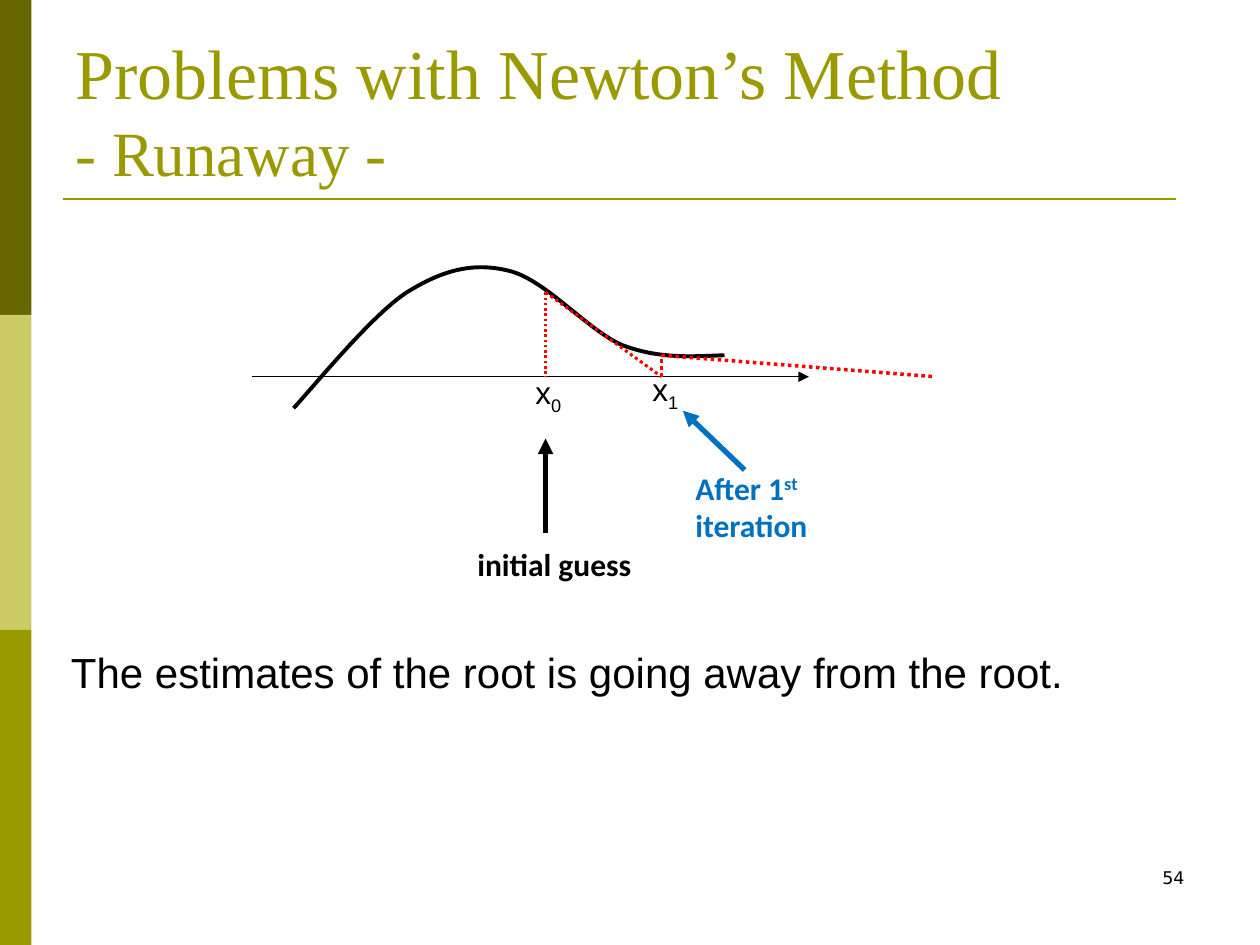
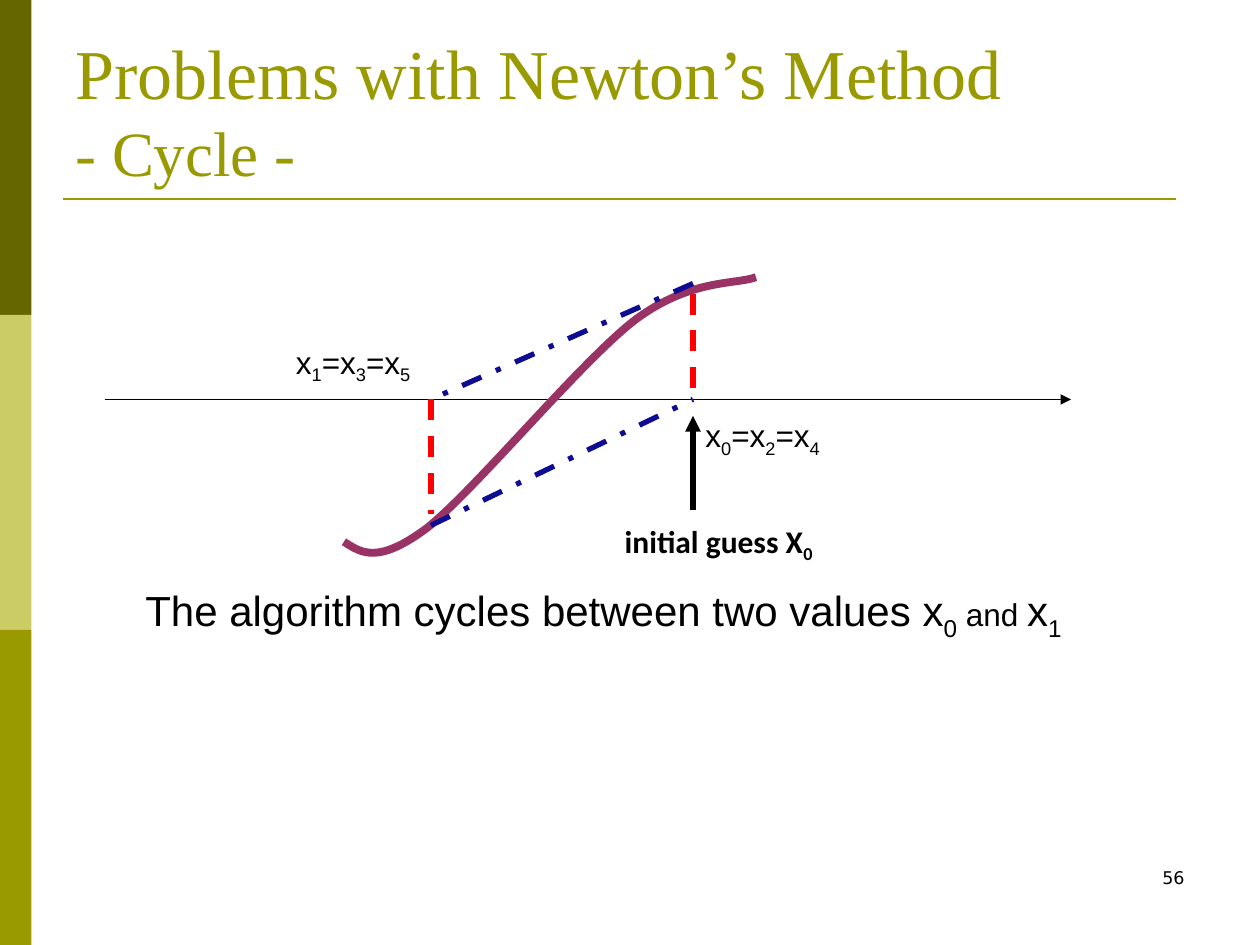
from lxml.etree import SubElement
from pptx import Presentation
from pptx.dml.color import RGBColor
from pptx.enum.dml import MSO_LINE
from pptx.enum.shapes import MSO_CONNECTOR, MSO_SHAPE
from pptx.enum.text import MSO_ANCHOR, MSO_AUTO_SIZE, PP_ALIGN
from pptx.oxml.ns import qn
from pptx.util import Pt

PX = 9144  # 100 px to the inch

DARK_OLIVE = RGBColor(0x66, 0x66, 0x00)
PALE_OLIVE = RGBColor(0xCC, 0xCC, 0x66)
OLIVE = RGBColor(0x99, 0x99, 0x00)
BLACK = RGBColor(0x00, 0x00, 0x00)
RED = RGBColor(0xFF, 0x00, 0x00)
BLUE = RGBColor(0x00, 0x70, 0xC0)
NAVY = RGBColor(0x0E, 0x0C, 0x93)
PLUM = RGBColor(0x99, 0x33, 0x66)

TITLE_FONT = "Times New Roman"
BODY_FONT = "Arial"
NOTE_FONT = "Calibri"
NUMBER_FONT = "DejaVu Sans"
SUB, SUPER = -25000, 30000


class Deck:
    def __init__(self):
        self.prs = Presentation()
        self.prs.slide_width = 1000 * PX
        self.prs.slide_height = 750 * PX
        self.s = None

    def slide(self, subtitle, number):
        """Start a slide with the side bands, title, rule and page number."""
        self.s = self.prs.slides.add_slide(self.prs.slide_layouts[6])
        for i, color in enumerate((DARK_OLIVE, PALE_OLIVE, OLIVE)):
            self.band(0, i * 250, 25, 250, color)
        self.line((50, 158), (933, 158), OLIVE, 1.5)
        self.text((717, 683, 233, 50), [number], NUMBER_FONT, 10, align=PP_ALIGN.RIGHT)
        self.title("Problems with Newton’s Method", subtitle)

    def band(self, x, y, w, h, color):
        sp = self.s.shapes.add_shape(MSO_SHAPE.RECTANGLE, x * PX, y * PX, w * PX, h * PX)
        sp.shadow.inherit = False
        sp.fill.solid()
        sp.fill.fore_color.rgb = color
        sp.line.fill.background()

    def box(self, x, y, w, h):
        tf = self.s.shapes.add_textbox(x * PX, y * PX, w * PX, h * PX).text_frame
        tf.word_wrap = True
        return tf

    def run(self, p, text, font, size, color, bold=False):
        r = p.add_run()
        r.text = text
        r.font.name = font
        r.font.size = Pt(size)
        r.font.bold = bold
        r.font.color.rgb = color
        return r

    def title(self, heading, subtitle):
        tf = self.box(50, 30, 900, 125)
        tf.vertical_anchor = MSO_ANCHOR.BOTTOM
        p = tf.paragraphs[0]
        self.run(p, heading, TITLE_FONT, 40, OLIVE)
        p.add_line_break()
        self.run(p, subtitle, TITLE_FONT, 36, OLIVE)

    def text(self, at, parts, font=BODY_FONT, size=18, color=BLACK, bold=False,
             align=PP_ALIGN.LEFT, wrap=True):
        """Add one paragraph; a part is a string or (string, baseline, size)."""
        tf = self.box(*at)
        tf.word_wrap = wrap
        tf.auto_size = MSO_AUTO_SIZE.SHAPE_TO_FIT_TEXT
        p = tf.paragraphs[0]
        p.alignment = align
        for part in parts:
            text, baseline, part_size = (part, 0, size) if isinstance(part, str) else part
            r = self.run(p, text, font, part_size, color, bold)
            if baseline:
                r.font._element.set("baseline", str(baseline))

    def label(self, at, *indices, wrap=True):
        """Write x with each index as a subscript, joined by equals signs."""
        parts = []
        for i, index in enumerate(indices):
            parts += ["=x" if i else "x", (index, SUB, 18)]
        self.text(at, parts, wrap=wrap)

    def note(self, at, parts, color=BLACK):
        self.text(at, parts, NOTE_FONT, color=color, bold=True)

    def statement(self, x, y, parts):
        self.text((x, y, 842, 50), parts, size=24, align=PP_ALIGN.CENTER)

    def line(self, start, end, color, width, dash=None, arrow=False):
        ends = [v * PX for v in (*start, *end)]
        c = self.s.shapes.add_connector(MSO_CONNECTOR.STRAIGHT, *ends)
        c.line.color.rgb = color
        c.line.width = Pt(width)
        if dash:
            c.line.dash_style = dash
        sp_pr = c._element.spPr
        if arrow:
            SubElement(sp_pr.find(qn("a:ln")), qn("a:tailEnd"), type="triangle")
        SubElement(sp_pr, qn("a:effectLst"))

    def curve(self, points, color, width):
        """Draw cubic Béziers: a start, then two controls and an end for each."""
        builder = self.s.shapes.build_freeform(*points[0], scale=PX)
        builder.add_line_segments(points[1:], close=False)
        sp = builder.convert_to_shape()
        sp.shadow.inherit = False
        sp.fill.background()
        sp.line.color.rgb = color
        sp.line.width = Pt(width)
        path = next(sp._element.iter(qn("a:path")))
        segments = path.findall(qn("a:lnTo"))
        for i in range(0, len(segments), 3):
            bezier = SubElement(path, qn("a:cubicBezTo"))
            for segment in segments[i:i + 3]:
                bezier.append(segment[0])
                path.remove(segment)


def runaway(deck):
    deck.slide("- Runaway -", "54")
    deck.statement(29, 508, ["The estimates of the root is going away from the root."])
    deck.curve([(575, 282), (549, 283), (523, 285), (494, 274),
                (466, 262), (433, 222), (404, 215),
                (376, 208), (352, 214), (323, 232),
                (295, 250), (248, 308), (233, 324)], BLACK, 2.25)
    deck.line((200, 299), (642, 299), BLACK, 0.75, arrow=True)

    on_curve_0, on_axis_0 = (433, 232), (433, 299)
    on_curve_1, on_axis_1 = (525, 282), (525, 299)
    for start, end, width in ((on_curve_0, on_axis_0, 1.5),
                              (on_curve_0, on_axis_1, 1.75),
                              (on_axis_1, on_curve_1, 2),
                              (on_curve_1, (742, 299), 2)):
        deck.line(start, end, RED, width, MSO_LINE.ROUND_DOT)

    deck.label((415, 291, 42, 40), "0", wrap=False)
    deck.label((508, 289, 42, 40), "1", wrap=False)
    deck.note((369, 428, 175, 40), ["initial guess"])
    deck.line((433, 423), (433, 348), BLACK, 3, arrow=True)
    deck.line((591, 373), (542, 326), BLUE, 3, arrow=True)
    deck.note((542, 367, 175, 71), ["After 1", ("st", SUPER, 18), " iteration"], BLUE)


def cycle(deck):
    deck.slide("- Cycle -", "56")
    deck.statement(58, 459, ["The algorithm cycles between two values x", ("0", SUB, 24),
                             (" and ", 0, 18), "x", ("1", SUB, 24)])
    deck.line((83, 317), (850, 317), BLACK, 0.75, arrow=True)
    deck.line((550, 233), (550, 317), RED, 3, MSO_LINE.DASH)
    deck.curve([(273, 430), (287, 439), (300, 448), (339, 419),
                (377, 389), (461, 287), (504, 254),
                (548, 221), (584, 226), (600, 220)], PLUM, 4.5)
    deck.line((550, 225), (342, 317), NAVY, 3, MSO_LINE.DASH_DOT)
    deck.line((342, 317), (342, 408), RED, 3, MSO_LINE.DASH)
    deck.line((342, 417), (550, 317), NAVY, 3, MSO_LINE.DASH_DOT)
    deck.label((550, 325, 133, 40), "0", "2", "4")
    deck.label((225, 267, 133, 40), "1", "3", "5")
    deck.note((486, 409, 175, 40), ["initial guess X", ("0", SUB, 18)])
    deck.line((550, 405), (550, 330), BLACK, 3, arrow=True)


def main():
    deck = Deck()
    runaway(deck)
    cycle(deck)
    deck.prs.save("out.pptx")


if __name__ == "__main__":
    main()
